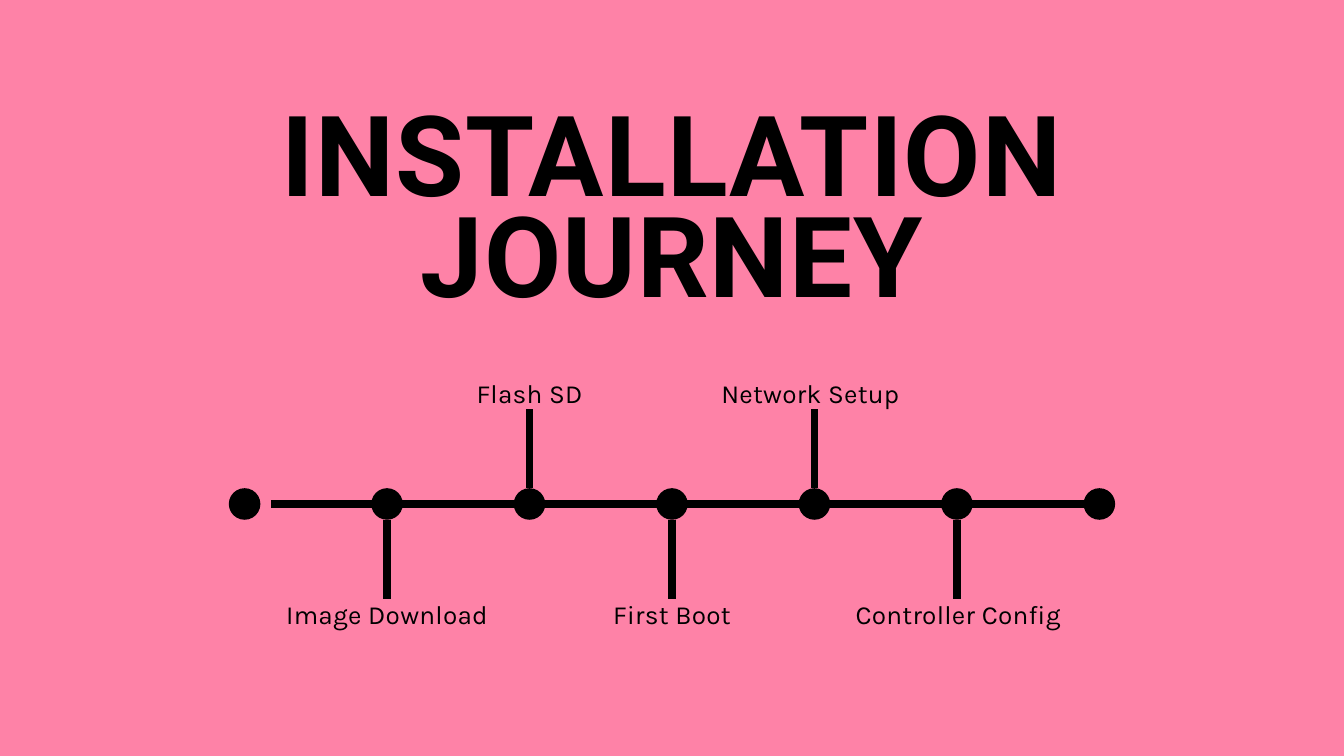
from dataclasses import dataclass

from lxml.etree import SubElement
from pptx import Presentation
from pptx.dml.color import RGBColor
from pptx.enum.shapes import MSO_CONNECTOR, MSO_SHAPE
from pptx.enum.text import MSO_ANCHOR, MSO_AUTO_SIZE, PP_ALIGN
from pptx.oxml.ns import qn
from pptx.util import Inches, Pt


@dataclass(frozen=True)
class Theme:
    background: RGBColor = RGBColor(0xFE, 0x82, 0xA7)
    ink: RGBColor = RGBColor(0, 0, 0)
    title_font: str = "Roboto"
    label_font: str = "Karla"
    title_size: int = 120
    label_size: int = 28
    line_width: int = 8


THEME = Theme()
AXIS_Y = 7.5
FIRST_X = 3.64
STEP = 2.12
DOT_COUNT = 7
DOT_SIZE = 0.47
STEM_END = 1.41
LABEL_WIDTH, LABEL_HEIGHT = 4.25, 0.4
LABEL_TOP_ABOVE, LABEL_TOP_BELOW = 5.69, 8.98

# Label and its horizontal shift from the dot
STEPS = [
    ("Image Download", 0),
    ("Flash SD", 0),
    ("First Boot", 0),
    ("Network Setup", -0.06),
    ("Controller Config", 0.02),
]


def set_attributes(target, values):
    for name, value in values.items():
        setattr(target, name, value)


def write_text(sp, text, font, size, leading, tracking, bold=False):
    """Fill a shape with one centred paragraph; tracking is in 1/100 pt."""
    tf = sp.text_frame
    set_attributes(tf, {
        "margin_left": 0, "margin_right": 0, "margin_top": 0, "margin_bottom": 0,
        "word_wrap": True,
        "auto_size": MSO_AUTO_SIZE.SHAPE_TO_FIT_TEXT,
        "vertical_anchor": MSO_ANCHOR.TOP,
    })
    p = tf.paragraphs[0]
    set_attributes(p, {"alignment": PP_ALIGN.CENTER, "line_spacing": Pt(leading),
                       "space_before": Pt(0)})
    r = p.add_run()
    r.text = text
    set_attributes(r.font, {"name": font, "size": Pt(size), "bold": bold})
    r.font.color.rgb = THEME.ink
    r.font._element.set("spc", str(tracking))


def add_title(s, text):
    sp = s.shapes.title
    set_attributes(sp, {"left": Inches(1.2), "top": Inches(1.76),
                        "width": Inches(17.61), "height": Inches(3.15)})
    write_text(sp, text, THEME.title_font, THEME.title_size, 108, 120, bold=True)


def add_label(s, text, center_x, top):
    sp = s.shapes.add_textbox(Inches(center_x - LABEL_WIDTH / 2), Inches(top),
                              Inches(LABEL_WIDTH), Inches(LABEL_HEIGHT))
    write_text(sp, text, THEME.label_font, THEME.label_size, 28, 30)


def add_dot(s, center_x):
    sp = s.shapes.add_shape(MSO_SHAPE.OVAL, Inches(center_x - DOT_SIZE / 2),
                            Inches(AXIS_Y - DOT_SIZE / 2),
                            Inches(DOT_SIZE), Inches(DOT_SIZE))
    sp.shadow.inherit = False
    sp.fill.solid()
    sp.fill.fore_color.rgb = THEME.ink
    sp.line.fill.background()


def add_line(s, x1, y1, x2, y2):
    line = s.shapes.add_connector(MSO_CONNECTOR.STRAIGHT, Inches(x1), Inches(y1),
                                  Inches(x2), Inches(y2))
    line.line.color.rgb = THEME.ink
    line.line.width = Pt(THEME.line_width)
    SubElement(line._element.spPr, qn("a:effectLst"))


def add_timeline(s):
    """Dots on an axis, with labels alternately below and above it."""
    centers = [FIRST_X + STEP * i for i in range(DOT_COUNT)]
    for x in centers:
        add_dot(s, x)
    add_line(s, 4.04, AXIS_Y, 16.47, AXIS_Y)
    for i, (text, shift) in enumerate(STEPS):
        x = centers[i + 1]
        side, top = (-1, LABEL_TOP_ABOVE) if i % 2 else (1, LABEL_TOP_BELOW)
        add_line(s, x, AXIS_Y + side * DOT_SIZE / 2, x, AXIS_Y + side * STEM_END)
        add_label(s, text, x + shift, top)


def main():
    prs = Presentation()
    prs.slide_width, prs.slide_height = Inches(20), Inches(11.25)
    s = prs.slides.add_slide(prs.slide_layouts[5])
    s.background.fill.solid()
    s.background.fill.fore_color.rgb = THEME.background
    add_title(s, "INSTALLATION JOURNEY")
    add_timeline(s)
    prs.save("out.pptx")


if __name__ == "__main__":
    main()
